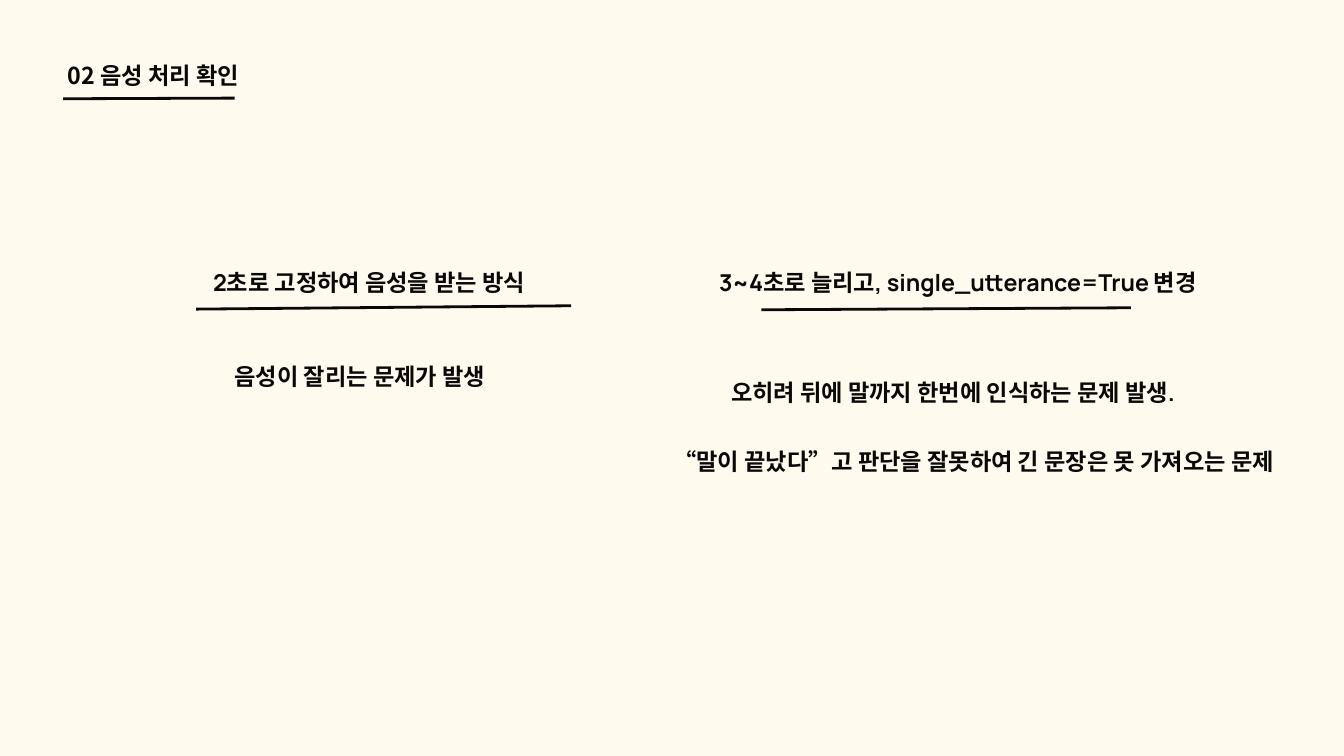
from pptx import Presentation
from pptx.dml.color import RGBColor
from pptx.enum.shapes import MSO_CONNECTOR
from pptx.enum.text import MSO_AUTO_SIZE
from pptx.oxml.ns import qn
from pptx.util import Inches, Pt
from lxml import etree

INK = "090807"
PAPER = "FEFBEE"
BODY = {"name": "Manrope", "size": Pt(24.9), "bold": True}
TITLE = {**BODY, "name": "Noto Sans CJK SC"}


def rgb(value):
    return RGBColor.from_string(value)


def add_text(s, box, lines, leading=74.3, font=BODY, first_indent=0):
    tf = s.shapes.add_textbox(*map(Inches, box)).text_frame
    frame = {"margin_left": 0, "margin_top": 0, "margin_right": 0, "margin_bottom": 0,
             "word_wrap": True, "auto_size": MSO_AUTO_SIZE.NONE}
    for key, value in frame.items():
        setattr(tf, key, value)
    for i, line in enumerate(lines):
        p = tf.paragraphs[0] if i == 0 else tf.add_paragraph()
        p.line_spacing = Pt(leading)
        if i == 0 and first_indent:
            p._p.get_or_add_pPr().set("indent", str(Inches(first_indent)))
        r = p.add_run()
        r.text = line
        for key, value in font.items():
            setattr(r.font, key, value)
        r.font.color.rgb = rgb(INK)


def add_underline(s, start, end):
    rule = s.shapes.add_connector(MSO_CONNECTOR.STRAIGHT, *map(Inches, start + end))
    rule.line.color.rgb = rgb(INK)
    rule.line.width = Pt(3)
    etree.SubElement(rule._element.spPr, qn("a:effectLst"))


def add_header(s, left, top, title):
    add_underline(s, (left, top + 0.63), (left + 2.55, top + 0.62))
    add_text(s, (left + 0.07, top, 3.32, 0.46), [title], leading=35, font=TITLE)


def add_column(s, heading_box, heading, rule, body_box, body, first_indent=0):
    add_underline(s, *rule)
    add_text(s, heading_box, [heading])
    add_text(s, body_box, body, first_indent=first_indent)


def main():
    prs = Presentation()
    prs.slide_width, prs.slide_height = Inches(20), Inches(11.25)
    s = prs.slides.add_slide(prs.slide_layouts[6])
    s.background.fill.solid()
    s.background.fill.fore_color.rgb = rgb(PAPER)

    add_header(s, 0.94, 0.84, "02 음성 처리 확인")
    add_column(s, (3.17, 3.38, 6.17, 0.86), "2초로 고정하여 음성을 받는 방식",
               ((2.92, 4.6), (8.5, 4.55)),
               (3.49, 4.77, 4.43, 1.9), ["음성이 잘리는 문제가 발생"])
    add_column(s, (10.7, 3.37, 7.67, 0.86), "3~4초로 늘리고, single_utterance=True 변경",
               ((11.33, 4.61), (16.83, 4.58)),
               (10.02, 5.01, 9.3, 2.94),
               ["오히려 뒤에 말까지 한번에 인식하는 문제 발생.",
                "“말이 끝났다”고 판단을 잘못하여 긴 문장은 못 가져오는 문제"],
               first_indent=0.86)
    prs.save("out.pptx")


if __name__ == "__main__":
    main()
